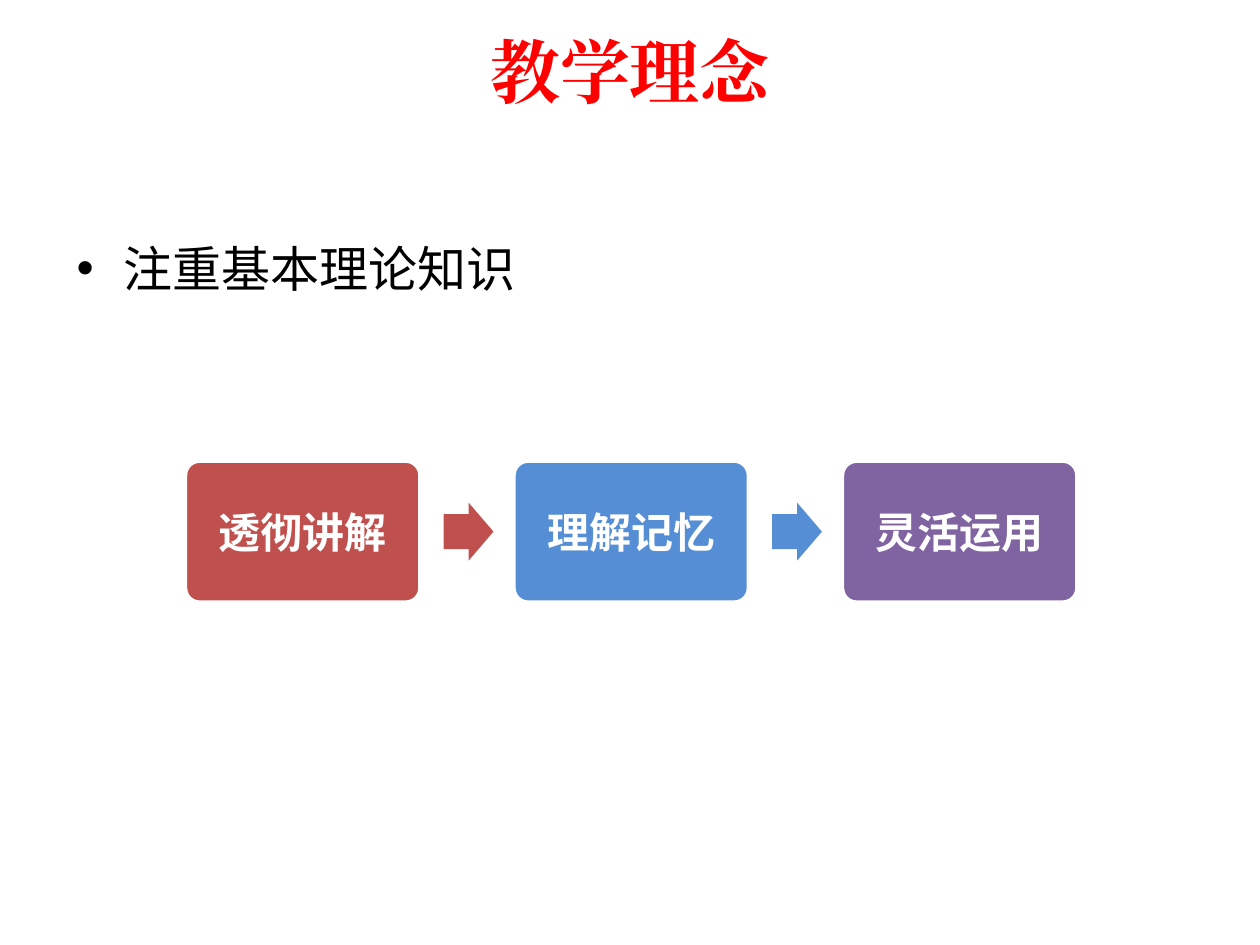
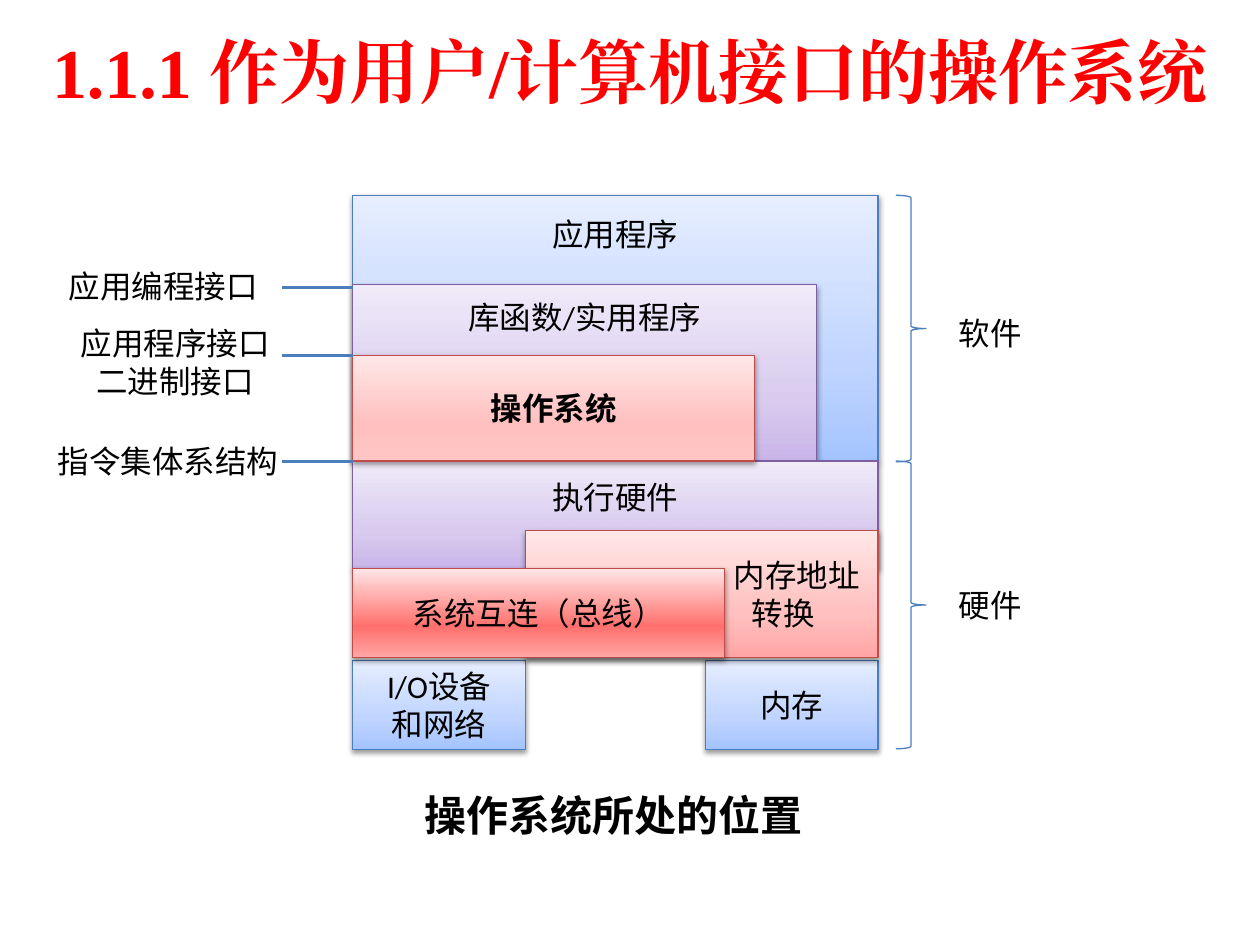
from lxml.etree import SubElement
from pptx import Presentation
from pptx.dml.color import RGBColor
from pptx.enum.shapes import MSO_CONNECTOR, MSO_SHAPE
from pptx.enum.text import MSO_ANCHOR, PP_ALIGN
from pptx.oxml.ns import qn
from pptx.util import Pt

# ---- content ----
TITLES = ["教学理念", "1.1.1 作为用户/计算机接口的操作系统"]
POINT = "注重基本理论知识"
STEPS = [("透彻讲解", "C0504D"), ("理解记忆", "558ED5"), ("灵活运用", "8064A2")]
CAPTION = "操作系统所处的位置"

# Back to front: text, (left, top, width, height), palette, text options
LAYERS = [
    (["应用程序"], (201.6, 111.6, 300.2, 151.9), "blue", {"top": 11.3}),
    (["库函数/实用程序"], (201.6, 162.7, 265, 100.8), "purple", {"top": 7.6}),
    (["执行硬件"], (201.6, 263.5, 300.2, 61.2), "purple", {"top": 9.7}),
    (["I/O设备", "和网络"], (201.6, 377.3, 98.6, 51.1), "blue", {}),
    (["操作系统"], (201.6, 203, 229.7, 60.5), "pale_red", {"bold": True}),
    (["内存"], (403.2, 377.3, 98.6, 51.1), "blue", {}),
    (["内存地址", "转换"], (300.2, 303.1, 201.6, 72.7), "red",
     {"left": 119, "indent": 10.3}),
    (["系统互连（总线）"], (201.6, 324.7, 212.4, 51.1), "strong_red", {}),
]
INTERFACES = [  # text, label box, height of the boundary line
    (["应用编程接口"], (31, 149, 124.6, 28.8), 164.2),
    (["应用程序接口", "二进制接口"], (38.2, 181.4, 123.8, 51.1), 203),
    (["指令集体系结构"], (25.2, 249.1, 141.8, 28.8), 263.5),
]
LEVELS = [  # text, brace top, brace height, label top
    ("软件", 111.6, 152.3, 175.7),
    ("硬件", 263.5, 164.4, 331.2),
]

# ---- theme ----
THEME = {
    "title": {"name": "Times New Roman", "size": 40, "color": "FF0000", "bold": True},
    "point": {"name": "Noto Sans CJK SC", "size": 28, "color": "000000", "bold": False},
    "caption": {"name": "Noto Sans CJK SC", "size": 24, "color": "000000", "bold": True},
    "step": {"name": "Calibri", "size": 24, "color": "FFFFFF", "bold": True},
    "layer": {"name": "Calibri", "size": 18, "color": "000000", "bold": False},
    "label": {"name": "Arial", "size": 18, "color": "000000", "bold": False},
    "white": "FFFFFF",
    "rule": "4B7EBC",
    "stops": (0, 35, 100),
    "palettes": {  # line colour, gradient from bottom to top
        "blue": ("4B7EBC", ("A4C4FF", "BFD4FF", "E6EEFF")),
        "purple": ("7D60A0", ("C9B5E8", "D8CBEE", "F0EAF9")),
        "pale_red": ("BF4C48", ("FFC5C5", "FFC0BF", "FFE7E7")),
        "red": ("BF4C48", ("FFA6A5", "FFC0BF", "FFE7E7")),
        "strong_red": ("BF4C48", ("FFA6A5", "FF706D", "FFE7E7")),
    },
}


def sub(parent, tag, **attrs):
    return SubElement(parent, qn(tag), {k: str(v) for k, v in attrs.items()})


def style_run(r, style):
    values = {"name": style["name"], "size": Pt(style["size"]), "bold": style["bold"]}
    for key, value in values.items():
        setattr(r.font, key, value)
    r.font.color.rgb = RGBColor.from_string(style["color"])
    rpr = r.font._element
    rpr.set("lang", "zh-CN")
    sub(rpr, "a:ea", typeface=style["name"])


def write(s, lines, style, align=PP_ALIGN.CENTER, anchor=MSO_ANCHOR.MIDDLE,
          wrap=True, **margins):
    tf = s.text_frame
    values = {"word_wrap": wrap, "vertical_anchor": anchor}
    values.update({f"margin_{side}": Pt(v) for side, v in margins.items()})
    for key, value in values.items():
        setattr(tf, key, value)
    for i, line in enumerate(lines):
        p = tf.add_paragraph() if i else tf.paragraphs[0]
        p.alignment = align
        r = p.add_run()
        r.text = line
        style_run(r, style)
    return tf


def add_text(slide, box, lines, style, **options):
    s = slide.shapes.add_textbox(*map(Pt, box))
    return write(s, lines, THEME[style], **options)


def add_shape(slide, kind, box, fill=None, line=None, width=0.75):
    s = slide.shapes.add_shape(kind, *map(Pt, box))
    s.shadow.inherit = False
    for part, color in ((s.fill, fill), (s.line.fill, line)):
        if color:
            part.solid()
            part.fore_color.rgb = RGBColor.from_string(color)
        else:
            part.background()
    if line:
        s.line.width = Pt(width)
    return s


def indent(p, left, first=0):
    ppr = p._p.get_or_add_pPr()
    ppr.set("marL", str(Pt(left)))
    ppr.set("indent", str(Pt(first)))
    return ppr


def shade(s, colors):
    """Fill a shape from bottom to top and give it a soft shadow below."""
    sppr = s._element.spPr
    grad = sppr.makeelement(qn("a:gradFill"), {"rotWithShape": "1"})
    stops = sub(grad, "a:gsLst")
    for pos, color in zip(THEME["stops"], colors):
        sub(sub(stops, "a:gs", pos=pos * 1000), "a:srgbClr", val=color)
    sub(grad, "a:lin", ang=270 * 60000, scaled=0)
    sppr.replace(sppr.find(qn("a:noFill")), grad)
    shadow = sub(sppr.find(qn("a:effectLst")), "a:outerShdw", blurRad=Pt(3.1),
                 dist=Pt(1.6), dir=90 * 60000, rotWithShape=0)
    sub(sub(shadow, "a:srgbClr", val="000000"), "a:alpha", val=38000)


def add_rule(slide, x1, x2, y):
    c = slide.shapes.add_connector(MSO_CONNECTOR.STRAIGHT, Pt(x1), Pt(y), Pt(x2), Pt(y))
    c.line.color.rgb = RGBColor.from_string(THEME["rule"])
    c.line.width = Pt(1.75)
    sub(c._element.spPr, "a:effectLst")


def new_slide(prs, title):
    slide = prs.slides.add_slide(prs.slide_layouts[6])
    add_text(slide, (0, 3.6, 720, 73.4), [title], "title")
    return slide


def build_teaching(slide):
    tf = add_text(slide, (36.7, 132.5, 648, 330), [POINT], "point",
                  align=PP_ALIGN.LEFT, anchor=MSO_ANCHOR.TOP)
    ppr = indent(tf.paragraphs[0], 27, -27)
    sub(ppr, "a:buFont", typeface="Arial")
    sub(ppr, "a:buChar", char="•")

    left, top, width, height, pitch = 106, 263.5, 134, 80.6, 187.7
    arrow_w, arrow_h = 28.4, 33.2
    for i, (text, color) in enumerate(STEPS):
        x = left + i * pitch
        s = add_shape(slide, MSO_SHAPE.ROUNDED_RECTANGLE, (x, top, width, height),
                      color, THEME["white"], 2)
        s.adjustments[0] = 0.1
        write(s, [text], THEME["step"])
        if i < len(STEPS) - 1:
            box = (x + 147.6, top + (height - arrow_h) / 2, arrow_w, arrow_h)
            s = add_shape(slide, MSO_SHAPE.RIGHT_ARROW, box, color)
            s.adjustments[0], s.adjustments[1] = 0.6, 0.5


def add_layer(slide, lines, box, palette, options):
    line, colors = THEME["palettes"][palette]
    s = add_shape(slide, MSO_SHAPE.RECTANGLE, box, line=line)
    shade(s, colors)
    style = {**THEME["layer"], "bold": options.get("bold", False)}
    if "top" in options:
        write(s, lines, style, anchor=MSO_ANCHOR.TOP, top=options["top"])
    elif "left" in options:
        tf = write(s, lines, style, PP_ALIGN.LEFT, left=options["left"], right=0)
        indent(tf.paragraphs[1], options["indent"])
    else:
        write(s, lines, style)


def build_position(slide):
    add_text(slide, (235.4, 447.8, 249.1, 36), [CAPTION], "caption",
             align=PP_ALIGN.LEFT)
    for layer in LAYERS:
        add_layer(slide, *layer)
    for text, top, height, label_top in LEVELS:
        add_shape(slide, MSO_SHAPE.RIGHT_BRACE, (511.9, top, 17.3, height),
                  line=THEME["rule"])
        add_text(slide, (540.7, label_top, 51.1, 28.8), [text], "label",
                 align=PP_ALIGN.LEFT, wrap=False)
    for lines, box, y in INTERFACES:
        add_rule(slide, 161.3, 201.6, y)
        add_text(slide, box, lines, "label", wrap=False)


def main():
    prs = Presentation()
    prs.slide_width, prs.slide_height = Pt(720), Pt(540)
    for title, build in zip(TITLES, (build_teaching, build_position)):
        build(new_slide(prs, title))
    prs.save("out.pptx")


if __name__ == "__main__":
    main()
